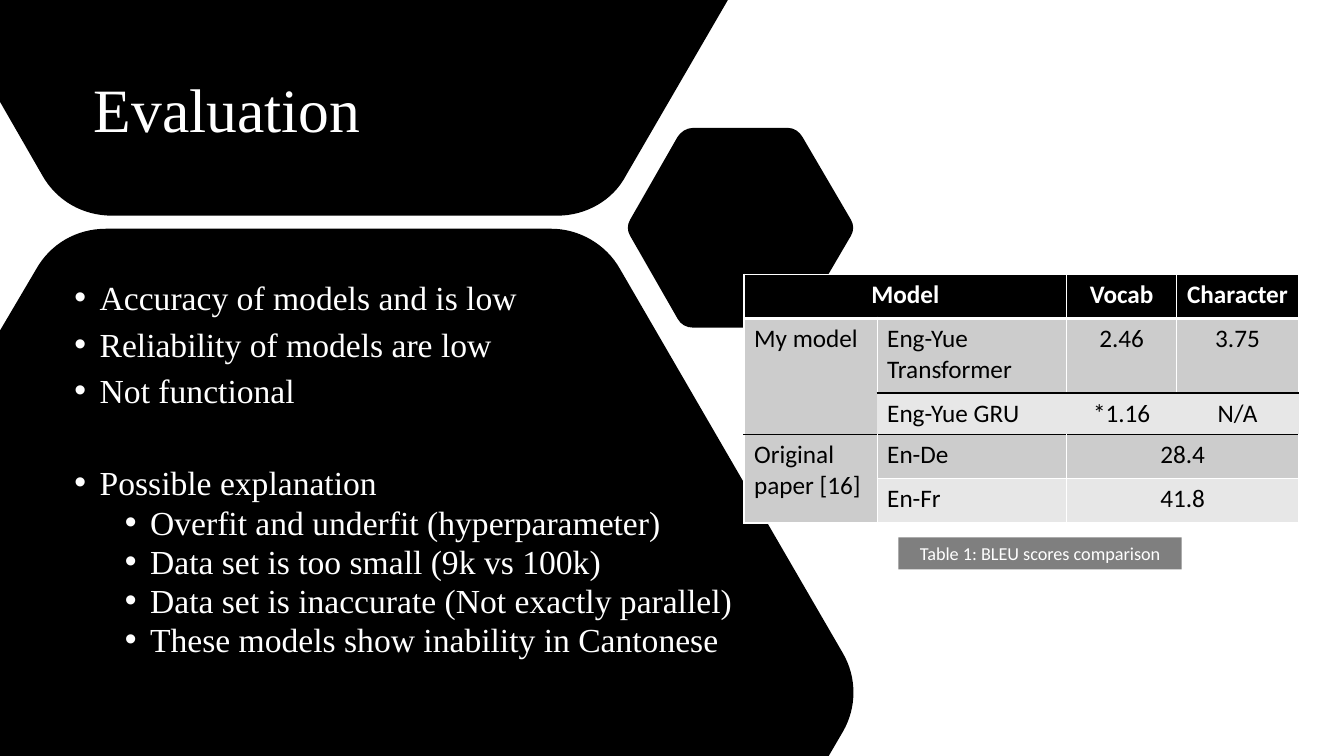
from lxml import etree
from pptx import Presentation
from pptx.dml.color import RGBColor
from pptx.enum.shapes import MSO_SHAPE
from pptx.enum.text import MSO_ANCHOR, PP_ALIGN
from pptx.oxml import parse_xml
from pptx.oxml.ns import qn
from pptx.util import Pt

PX = 9144  # 100 px to the inch
LEFT, CENTER = PP_ALIGN.LEFT, PP_ALIGN.CENTER
RECTANGLE = MSO_SHAPE.RECTANGLE
TOP, MIDDLE = MSO_ANCHOR.TOP, MSO_ANCHOR.MIDDLE
SERIF, SANS = "Times New Roman", "Calibri"
BLACK, WHITE, GRAY, LIGHT_GRAY = "000000", "FFFFFF", "CCCCCC", "E7E7E7"
NAMESPACE = "http://schemas.openxmlformats.org/drawingml/2006/main"


def color(hex_string):
    return RGBColor.from_string(hex_string)


def style(paragraph, size, font_name, hex_string, bold=False):
    for run in paragraph.runs:
        run.font.size = Pt(size)
        run.font.name = font_name
        run.font.bold = bold
        run.font.color.rgb = color(hex_string)


presentation = Presentation()
presentation.slide_width = 1333 * PX
presentation.slide_height = 750 * PX
slide = presentation.slides.add_slide(presentation.slide_layouts[5])
shapes = slide.shapes

# Outlines: a pair is a straight corner, six numbers are a Bezier curve
LOWER_PANEL = [
    (105, 227), (547, 227), (574, 227, 601, 242, 615, 267),
    (836, 648), (850, 672, 850, 702, 836, 726),
    (822, 750), (0, 750), (0, 328),
    (36, 267), (50, 242, 76, 227, 105, 227),
]
HEXAGON = [
    (687, 127), (782, 127), (788, 127, 793, 131, 796, 136),
    (844, 218), (847, 223, 847, 229, 844, 234),
    (796, 316), (793, 322, 788, 325, 782, 325),
    (687, 325), (681, 325, 675, 322, 672, 316),
    (625, 234), (622, 229, 622, 223, 625, 218),
    (672, 136), (675, 131, 681, 127, 687, 127),
]
TITLE_PANEL = [
    (0, 0), (722, 0), (621, 174), (608, 199, 581, 214, 553, 214),
    (111, 214), (82, 214, 56, 199, 42, 174), (0, 101),
]
PANELS_WIDTH = 847
builder = shapes.build_freeform(*LOWER_PANEL[0], scale=PX)
for outline in (LOWER_PANEL, HEXAGON, TITLE_PANEL):
    if outline is not LOWER_PANEL:
        builder.move_to(*outline[0])
    builder.add_line_segments([segment[-2:] for segment in outline[1:]], close=False)
panels = builder.convert_to_shape()
panels.width = PANELS_WIDTH * PX
outline_element = next(panels._element.iter(qn("a:path")))
outline_element.set("w", str(PANELS_WIDTH))
drawn_segments = list(outline_element)
for drawn, segment in zip(drawn_segments, LOWER_PANEL + HEXAGON + TITLE_PANEL):
    if len(segment) == 6:
        drawn.clear()
        curve = etree.SubElement(outline_element, qn("a:cubicBezTo"))
        for x, y in zip(segment[::2], segment[1::2]):
            etree.SubElement(curve, qn("a:pt"), x=str(x), y=str(y))
        outline_element.replace(drawn, curve)
for move in outline_element.findall(qn("a:moveTo"))[1:]:
    move.addprevious(etree.Element(qn("a:close")))
etree.SubElement(outline_element, qn("a:close"))
panels.shadow.inherit = False
panels.fill.solid()
panels.fill.fore_color.rgb = color(BLACK)
panels.line.fill.background()
shapes._spTree.insert(2, panels._element)  # behind the title

title = shapes.title
title.left, title.top, title.width, title.height = 83 * PX, 38 * PX, 521 * PX, 148 * PX
title.text_frame.text = "Evaluation"
title.text_frame.vertical_anchor = MIDDLE
title_paragraph = title.text_frame.paragraphs[0]
title_paragraph.alignment = LEFT
title_paragraph.line_spacing = 0.9
style(title_paragraph, 44, SERIF, WHITE)

# Findings: level, space before in points, text
FINDINGS = [
    (0, 10, "Accuracy of models and is low"),
    (0, 10, "Reliability of models are low"),
    (0, 10, "Not functional"),
    (0, 43, "Possible explanation"),
    (1, 5, "Overfit and underfit (hyperparameter)"),
    (1, 5, "Data set is too small (9k vs 100k)"),
    (1, 5, "Data set is inaccurate (Not exactly parallel)"),
    (1, 5, "These models show inability in Cantonese"),
]
findings = shapes.add_textbox(64 * PX, 278 * PX, 682 * PX, 396 * PX).text_frame
findings.word_wrap = True
findings.text = "\n".join(text for _, _, text in FINDINGS)
for paragraph, (level, space_before, _) in zip(findings.paragraphs, FINDINGS):
    paragraph.level = level
    paragraph.line_spacing = 0.8
    paragraph.space_before = Pt(space_before)
    style(paragraph, 24, SERIF, WHITE)
    properties = paragraph._p.get_or_add_pPr()
    properties.set("marL", str((25 + 50 * level) * PX))
    properties.set("indent", str(-25 * PX))
    etree.SubElement(properties, qn("a:buFont"), typeface="Arial")
    etree.SubElement(properties, qn("a:buChar"), char="•")

COLUMN_WIDTHS = [132, 188, 109, 121]
ROW_HEIGHTS = [44, 74, 41, 44, 44]
ROW_FILLS = [BLACK, GRAY, LIGHT_GRAY, GRAY, LIGHT_GRAY]
SCORES = [
    ["Model", "", "Vocab", "Character"],
    ["My model", "Eng-Yue Transformer", "2.46", "3.75"],
    ["", "Eng-Yue GRU", "*1.16", "N/A"],
    ["Original paper [16]", "En-De", "28.4", ""],
    ["", "En-Fr", "41.8", ""],
]
MERGES = [(0, 0, 0, 1), (1, 0, 2, 0), (3, 0, 4, 0), (3, 2, 3, 3), (4, 2, 4, 3)]
BLACK_EDGES = (2, 3)  # the lines above and below the GRU row
TRANSFORMER_ROW, GRU_ROW = 1, 2
table = shapes.add_table(len(SCORES), len(COLUMN_WIDTHS), 738 * PX, 272 * PX,
                         sum(COLUMN_WIDTHS) * PX, sum(ROW_HEIGHTS) * PX).table
for column, width in zip(table.columns, COLUMN_WIDTHS):
    column.width = width * PX
for row, height in zip(table.rows, ROW_HEIGHTS):
    row.height = height * PX

for row_index, texts in enumerate(SCORES):
    is_header = row_index == 0
    for column_index, text in enumerate(texts):
        cell = table.cell(row_index, column_index)
        cell.text_frame.text = text
        paragraph = cell.text_frame.paragraphs[0]
        paragraph.alignment = CENTER if is_header or column_index >= 2 else LEFT
        style(paragraph, 18, SANS, WHITE if is_header else BLACK, bold=is_header)
        cell_properties = cell._tc.get_or_add_tcPr()
        # The table style already draws the white lines of the Transformer row
        for side in "" if row_index == TRANSFORMER_ROW else "LRTB":
            edge = {"T": row_index, "B": row_index + 1}.get(side)
            line_color = BLACK if edge in BLACK_EDGES else WHITE
            points = 3 if edge == 1 else 1
            if edge is None and row_index == GRU_ROW and column_index > 0:
                paint = "<a:noFill/>"
            else:
                paint = f'<a:solidFill><a:srgbClr val="{line_color}"/></a:solidFill>'
            cell_properties.append(parse_xml(
                f'<a:ln{side} xmlns:a="{NAMESPACE}" w="{Pt(points)}">{paint}</a:ln{side}>'))
        cell.fill.solid()
        cell.fill.fore_color.rgb = color(
            GRAY if column_index == 0 and not is_header else ROW_FILLS[row_index])
for first_row, first_column, last_row, last_column in MERGES:
    table.cell(first_row, first_column).merge(table.cell(last_row, last_column))

caption = shapes.add_shape(RECTANGLE, 891 * PX, 533 * PX, 281 * PX, 32 * PX)
caption.shadow.inherit = False
caption.fill.solid()
caption.fill.fore_color.rgb = color(BLACK)
fill_color = caption._element.spPr.find(qn("a:solidFill")).find(qn("a:srgbClr"))
etree.SubElement(fill_color, qn("a:alpha"), val="50000")
caption.line.fill.background()
caption.text_frame.word_wrap = True
caption.text_frame.vertical_anchor = TOP
caption.text_frame.text = "Table 1: BLEU scores comparison"
caption_paragraph = caption.text_frame.paragraphs[0]
caption_paragraph.alignment = CENTER
caption_paragraph.space_after = Pt(6)
style(caption_paragraph, 13, SANS, WHITE)

presentation.save("out.pptx")
